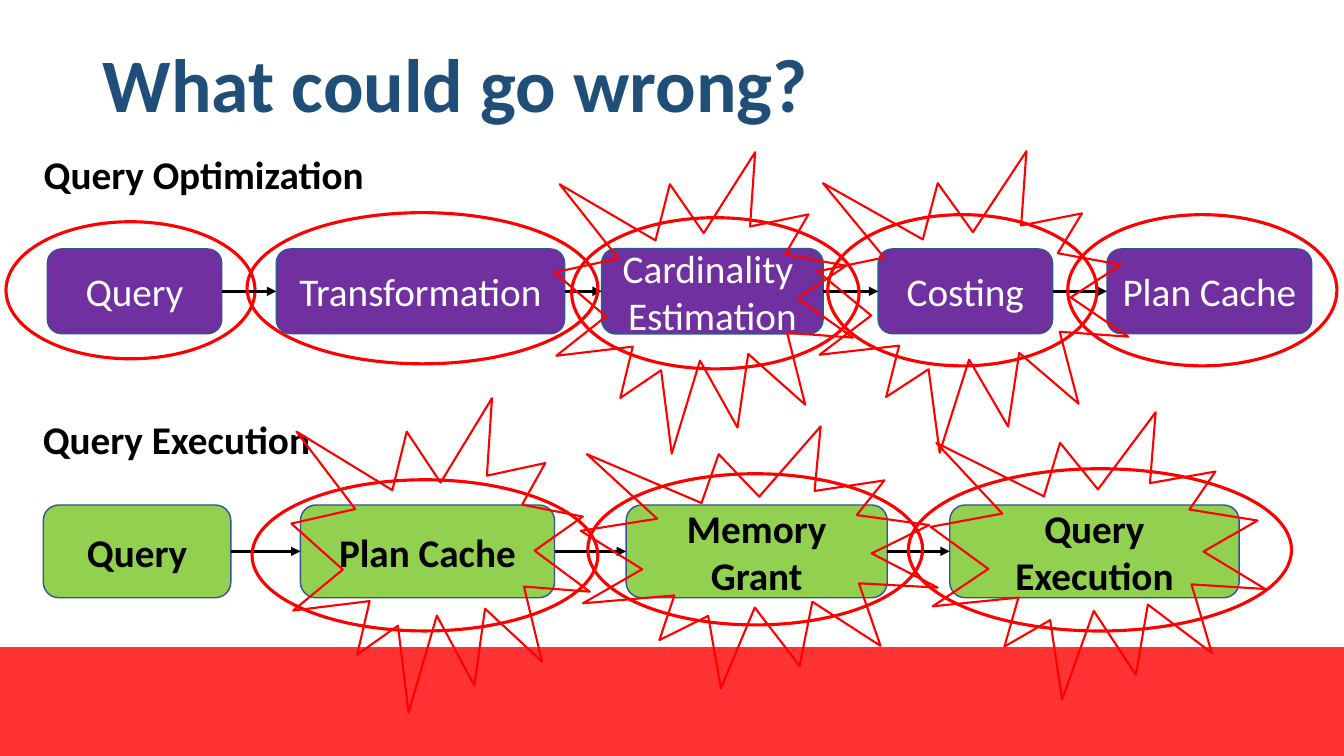
from lxml import etree
from pptx import Presentation
from pptx import util as u
from pptx.dml.color import RGBColor
from pptx.enum import shapes, text
from pptx.oxml.ns import qn

PURPLE, GREEN, RED, BAND = "7030A0", "92D050", "FF0000", "FF3333"
NAVY, OUTLINE, BLACK, WHITE = "1F4E79", "325491", "000000", "FFFFFF"
PRESET = shapes.MSO_SHAPE
RIGHT_SITE, LEFT_SITE = 3, 1


def color(hex_string):
    return RGBColor.from_string(hex_string)


class SlideBuilder:
    font = "Calibri"
    body_size = 28

    def __init__(self, slide):
        self.slide = slide

    def set_text(self, frame, content, size, ink, bold, align):
        frame.text = content
        frame.word_wrap = True
        for paragraph in frame.paragraphs:
            paragraph.alignment = align
            for run in paragraph.runs:
                run.font.name = self.font
                run.font.size = u.Pt(size)
                run.font.bold = bold
                run.font.color.rgb = color(ink)

    def title(self, content, box):
        shape = self.slide.shapes.title
        shape.left, shape.top, shape.width, shape.height = map(u.Inches, box)
        frame = shape.text_frame
        self.set_text(frame, content, 54, NAVY, True, text.PP_ALIGN.LEFT)
        frame.vertical_anchor = text.MSO_ANCHOR.MIDDLE
        frame.paragraphs[0].line_spacing = 0.9

    def heading(self, content, box):
        shape = self.slide.shapes.add_textbox(*map(u.Inches, box))
        self.set_text(shape.text_frame, content, self.body_size, BLACK, True,
                      text.PP_ALIGN.CENTER)

    def shape(self, preset, box, fill=None, line=None, weight=1):
        shape = self.slide.shapes.add_shape(preset, *map(u.Inches, box))
        shape.shadow.inherit = False
        if fill:
            shape.fill.solid()
            shape.fill.fore_color.rgb = color(fill)
        else:
            shape.fill.background()
        if line:
            shape.line.color.rgb = color(line)
            shape.line.width = u.Pt(weight)
        else:
            shape.line.fill.background()
        return shape

    def step(self, content, box, fill, ink, bold, weight=1):
        shape = self.shape(PRESET.ROUNDED_RECTANGLE, box, fill, OUTLINE, weight)
        self.set_text(shape.text_frame, content, self.body_size, ink, bold,
                      text.PP_ALIGN.CENTER)
        shape.text_frame.vertical_anchor = text.MSO_ANCHOR.MIDDLE
        return shape

    def arrow(self, source, target):
        connector = self.slide.shapes.add_connector(
            shapes.MSO_CONNECTOR.STRAIGHT, 0, 0, 0, 0)
        connector.begin_connect(source, RIGHT_SITE)
        connector.end_connect(target, LEFT_SITE)
        connector.line.color.rgb = color(BLACK)
        connector.line.width = u.Pt(2.25)
        properties = connector._element.spPr
        etree.SubElement(properties.find(qn("a:ln")), qn("a:tailEnd"),
                         type="triangle")
        etree.SubElement(properties, qn("a:effectLst"))

    def flow(self, steps, top, height, fill, ink, bold):
        boxes = [self.step(content, (left, top, width, height), fill, ink, bold,
                           1.5 if "\n" in content else 1)
                 for content, left, width in steps]
        for source, target in zip(boxes, boxes[1:]):
            self.arrow(source, target)


def main():
    presentation = Presentation()
    presentation.slide_width = u.Inches(13.33)
    presentation.slide_height = u.Inches(7.5)
    slide = presentation.slides.add_slide(presentation.slide_layouts[5])
    builder = SlideBuilder(slide)

    builder.shape(PRESET.RECTANGLE, (0, 6.42, 13.33, 1.08), BAND)
    builder.shape(PRESET.OVAL, (0.06, 2.2, 2.47, 1.36), line=RED, weight=2.25)
    builder.title("What could go wrong?", (0.92, 0.15, 11.5, 1.45))

    builder.heading("Query Optimization", (-0.08, 1.44, 4.2, 0.57))
    builder.flow([("Query", 0.47, 1.73),
                  ("Transformation", 2.74, 2.86),
                  ("Cardinality \nEstimation", 5.97, 2.19),
                  ("Costing", 8.71, 1.73),
                  ("Plan Cache", 10.98, 2.03)],
                 2.47, 0.84, PURPLE, WHITE, False)

    builder.heading("Query Execution", (0.27, 4.07, 2.96, 0.57))
    builder.flow([("Query", 0.43, 1.86),
                  ("Plan Cache", 2.98, 2.52),
                  ("Memory Grant", 6.21, 2.59),
                  ("Query Execution", 9.42, 2.87)],
                 5.01, 0.92, GREEN, BLACK, True)

    bursts = [(5.5, 1.51, 2.96, 2.99), (8.11, 1.5, 3.08, 2.99),
              (2.89, 3.95, 2.96, 3.12), (9.23, 4.09, 3.32, 2.85),
              (5.76, 4.23, 3.54, 2.6)]
    for box in bursts:
        builder.shape(PRESET.EXPLOSION1, box, line=RED, weight=1.5)

    rings = [(5.67, 2.16, 2.85, 1.5), (2.45, 2.11, 3.48, 1.5),
             (8.21, 2.13, 2.67, 1.5), (2.5, 4.76, 3.43, 1.5),
             (5.83, 4.7, 3.32, 1.5), (9.01, 4.65, 3.8, 1.61),
             (10.59, 2.13, 2.67, 1.5)]
    for box in rings:
        builder.shape(PRESET.OVAL, box, line=RED, weight=2.25)

    presentation.save("out.pptx")


if __name__ == "__main__":
    main()
